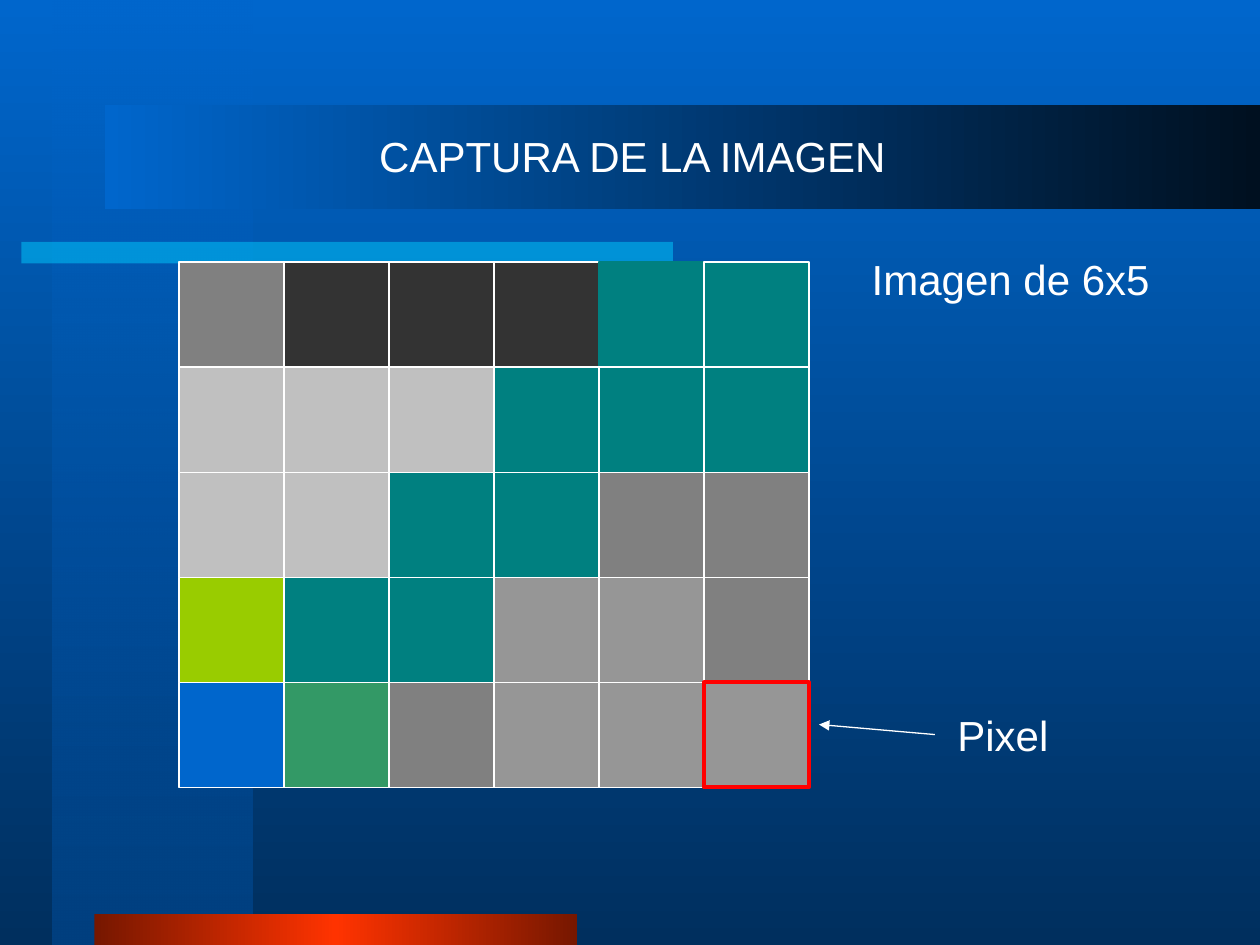
from lxml.etree import SubElement
from pptx import Presentation
from pptx.dml.color import RGBColor
from pptx.enum.shapes import MSO_CONNECTOR as Connector, MSO_SHAPE as Shape
from pptx.enum.text import PP_ALIGN as Align
from pptx.oxml.ns import qn
from pptx.util import Inches, Pt

COLORS = {
    "white": "FFFFFF", "red": "FF0000", "sky": "0066CC", "navy": "002F5E",
    "panel": "004080", "night": "001020", "cyan": "00CCFF",
    "flame": "FF3300", "ember": "761700", "gray": "808080",
    "dark": "333333", "teal": "008080", "light": "C0C0C0",
    "lime": "99CC00", "green": "339966", "mid": "969696",
}
PIXELS = [
    "gray dark dark dark teal teal",
    "light light light teal teal teal",
    "light light teal teal gray gray",
    "lime teal teal mid mid gray",
    "sky green gray mid mid mid",
]
FONT = "Arial"


def rgb(name):
    return RGBColor.from_string(COLORS[name])


def set_alpha(color, percent):
    SubElement(color, qn("a:alpha"), val=str(percent * 1000))


def fill_gradient(fill, element, stops, angle):
    fill.gradient()
    fill.gradient_angle = angle
    stop_list = element.find(".//" + qn("a:gsLst"))
    for stop in list(stop_list):
        stop_list.remove(stop)
    for position, name, alpha in stops:
        stop = SubElement(stop_list, qn("a:gs"), pos=str(position * 1000))
        color = SubElement(stop, qn("a:srgbClr"), val=COLORS[name])
        if alpha < 100:
            set_alpha(color, alpha)


def add_box(page, left, top, width, height):
    box = page.shapes.add_shape(
        Shape.RECTANGLE, Inches(left), Inches(top), Inches(width), Inches(height))
    box.shadow.inherit = False
    box.line.fill.background()
    return box


def add_gradient_box(page, bounds, stops, angle):
    box = add_box(page, *bounds)
    fill_gradient(box.fill, box.element, stops, angle)


def add_label(page, text, left, top, width, height, align=Align.LEFT):
    box = page.shapes.add_textbox(
        Inches(left), Inches(top), Inches(width), Inches(height))
    box.text_frame.word_wrap = False
    para = box.text_frame.paragraphs[0]
    para.text = text
    para.alignment = align
    font = para.runs[0].font
    font.name, font.size = FONT, Pt(24)
    font.color.rgb = rgb("white")


def add_backdrop(page, width, height):
    fill_gradient(page.background.fill, page.element,
                  [(0, "sky", 100), (100, "navy", 100)], 270)
    add_gradient_box(page, (0.42, 0, 1.58, height),
                     [(0, "sky", 50), (100, "panel", 100)], 270)
    stripe = add_box(page, 0.17, 1.92, 5.17, 0.17)
    stripe.fill.solid()
    stripe.fill.fore_color.rgb = rgb("cyan")
    set_alpha(stripe.element.spPr.find(".//" + qn("a:srgbClr")), 50)
    add_gradient_box(page, (0.75, height - 0.25, 3.83, 0.25),
                     [(0, "ember", 100), (50, "flame", 100), (100, "ember", 100)], 0)
    add_gradient_box(page, (0.83, 0.83, width - 0.83, 0.83),
                     [(0, "sky", 100), (100, "night", 100)], 0)


def add_pixel_grid(page, left, top, width, height):
    rows = [row.split() for row in PIXELS]
    cell_width, cell_height = width / len(rows[0]), height / len(rows)
    outlines = {(0, 4): ("teal", 0.75), (4, 5): ("red", 2.25)}
    for row, names in enumerate(rows):
        for column, name in enumerate(names):
            pixel = add_box(page, left + column * cell_width,
                            top + row * cell_height, cell_width, cell_height)
            pixel.fill.solid()
            pixel.fill.fore_color.rgb = rgb(name)
            outline, weight = outlines.get((row, column), ("white", 0.75))
            pixel.line.color.rgb = rgb(outline)
            pixel.line.width = Pt(weight)


def add_pixel_callout(page, left, top):
    arrow = page.shapes.add_connector(
        Connector.STRAIGHT, Inches(left + 0.92), Inches(top + 0.25),
        Inches(left), Inches(top + 0.17))
    arrow.line.color.rgb = rgb("white")
    arrow.line.width = Pt(0.75)
    SubElement(arrow.line._get_or_add_ln(), qn("a:tailEnd"), type="triangle")
    SubElement(arrow.element.spPr, qn("a:effectLst"))
    add_label(page, "Pixel", left + 1, top, 0.93, 0.5)


def main():
    deck = Presentation()
    deck.slide_width, deck.slide_height = Inches(10), Inches(7.5)
    page = deck.slides.add_slide(deck.slide_layouts[6])
    add_backdrop(page, 10, 7.5)
    add_pixel_grid(page, 1.42, 2.08, 5, 4.17)
    add_label(page, "Imagen de 6x5", 6.82, 1.96, 2.41, 0.5)
    add_pixel_callout(page, 6.5, 5.58)
    add_label(page, "CAPTURA DE LA IMAGEN", 2.89, 0.99, 4.26, 0.5, Align.CENTER)
    deck.save("out.pptx")


if __name__ == "__main__":
    main()
